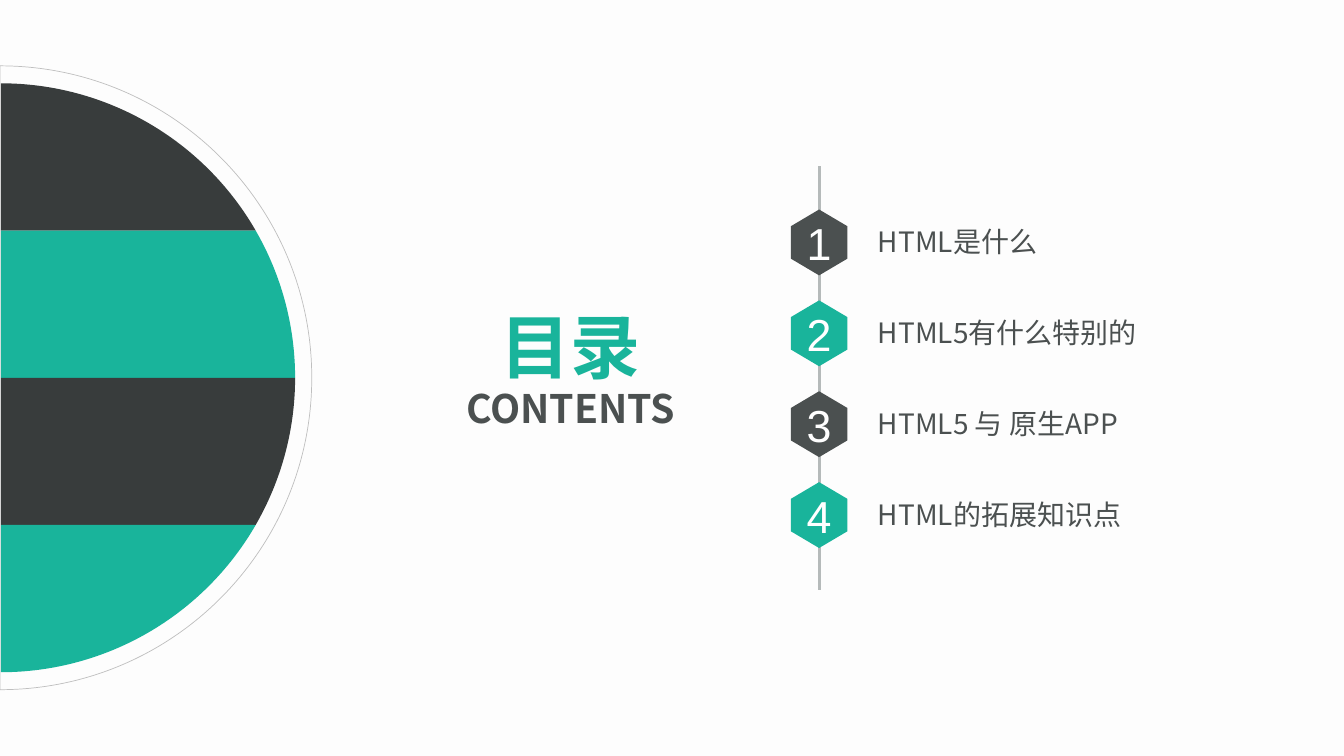
from dataclasses import dataclass
from itertools import pairwise
from math import cos, radians, sin, tan

from lxml.etree import SubElement
from pptx import Presentation
from pptx.dml.color import RGBColor as Color
from pptx.enum.shapes import MSO_CONNECTOR as Connector
from pptx.enum.text import MSO_ANCHOR as Anchor, PP_ALIGN as Align
from pptx.oxml.ns import qn
from pptx.shapes.autoshape import Shape
from pptx.slide import Slide
from pptx.util import Cm, Pt

Point = tuple[float, float]


@dataclass(frozen=True)
class Theme:
    background: Color = Color.from_string("FDFDFD")
    teal: Color = Color.from_string("19B49B")
    charcoal: Color = Color.from_string("383C3C")
    slate: Color = Color.from_string("4B5050")
    white: Color = Color.from_string("FFFFFF")
    rail: Color = Color.from_string("B5BABA")
    rim: Color = Color.from_string("BFBFBF")
    text_font: str = "Noto Sans CJK SC"
    number_font: str = "Arial"
    title_size: int = 50
    subtitle_size: int = 28
    label_size: int = 20
    number_size: int = 32


THEME = Theme()


@dataclass(frozen=True)
class TextStyle:
    size: int
    color: Color
    font: str = THEME.text_font
    bold: bool = False
    align: Align = Align.CENTER


@dataclass(frozen=True)
class TextBox:
    text: str
    left: float
    top: float
    width: float
    height: float
    style: TextStyle
    left_inset: float = 0.25
    wrap: bool = True


@dataclass(frozen=True)
class Chapter:
    title: str
    color: Color


NUMBER = TextStyle(THEME.number_size, THEME.white, THEME.number_font)
LABEL = TextStyle(THEME.label_size, THEME.slate, align=Align.LEFT)
TITLE = TextStyle(THEME.title_size, THEME.teal, bold=True)
SUBTITLE = TextStyle(THEME.subtitle_size, THEME.slate, bold=True)

HEADINGS = [
    TextBox("目录", 11.94, 7.62, 4.9, 2.18, TITLE),
    TextBox("CONTENTS", 9.54, 9.19, 9.7, 2.18, SUBTITLE, wrap=False),
]
CHAPTERS = [
    Chapter("HTML是什么", THEME.slate),
    Chapter("HTML5有什么特别的", THEME.teal),
    Chapter("HTML5 与 原生APP", THEME.slate),
    Chapter("HTML的拓展知识点", THEME.teal),
]

# Lengths in centimetres
DISC_X, DISC_Y, DISC_RADIUS, RIM_RADIUS = 0.02, 9.52, 7.42, 7.86
BAND_ANGLES = [-90, -30, 0, 30, 90]
RAIL_X, RAIL_TOP, RAIL_BOTTOM = 20.65, 4.19, 14.86
FIRST_Y, PITCH = 6.11, 2.29


def write(shape: Shape, text: str, style: TextStyle,
          left_inset: float = 0.25, wrap: bool = True) -> None:
    frame = shape.text_frame
    frame.word_wrap = wrap
    frame.vertical_anchor = Anchor.MIDDLE
    frame.margin_left, frame.margin_right = Cm(left_inset), Cm(0.25)
    frame.margin_top = frame.margin_bottom = Cm(0.13)
    para = frame.paragraphs[0]
    para.text = text
    para.alignment = style.align
    font = para.font
    font.size, font.bold, font.name = Pt(style.size), style.bold, style.font
    font.color.rgb = style.color
    # East Asian typeface
    properties = para._p.pPr.find(qn("a:defRPr"))
    SubElement(properties, qn("a:ea")).set("typeface", style.font)


def add_text(slide: Slide, item: TextBox) -> None:
    box = slide.shapes.add_textbox(
        Cm(item.left), Cm(item.top), Cm(item.width), Cm(item.height))
    write(box, item.text, item.style, item.left_inset, item.wrap)


def add_polygon(slide: Slide, points: list[Point], fill: Color | None = None,
                line: Color | None = None) -> Shape:
    corners = [(Cm(x), Cm(y)) for x, y in points]
    builder = slide.shapes.build_freeform(*corners[0])
    builder.add_line_segments(corners[1:], close=True)
    shape = builder.convert_to_shape()
    shape.shadow.inherit = False
    if fill is None:
        shape.fill.background()
    else:
        shape.fill.solid()
        shape.fill.fore_color.rgb = fill
    if line is None:
        shape.line.fill.background()
    else:
        shape.line.color.rgb = line
        shape.line.width = Pt(0.5)
    return shape


def add_sector(slide: Slide, axis: float, radius: float, angles: list[int],
               fill: Color | None = None, line: Color | None = None) -> None:
    """Slice of the half disc, curved through the angles and closed on its axis."""
    def on_arc(angle: float, bend: float = 0) -> Point:
        turn = radians(angle)
        return (axis + radius * (cos(turn) - bend * sin(turn)),
                DISC_Y + radius * (sin(turn) + bend * cos(turn)))

    arc = [on_arc(angle) for angle in angles]
    base = [(axis, on_arc(angle)[1]) for angle in (angles[-1], angles[0])
            if abs(angle) != 90]
    shape = add_polygon(slide, arc + base, fill, line)

    # Bend the leading segments into Bézier curves
    segments = list(shape._element.iter(qn("a:lnTo")))
    for segment, (start, end) in zip(segments, pairwise(angles)):
        bend = 4 / 3 * tan(radians(end - start) / 4)
        target = segment[0]
        segment.tag = qn("a:cubicBezTo")
        for x, y in (on_arc(start, bend), on_arc(end, -bend)):
            handle = SubElement(segment, qn("a:pt"))
            handle.set("x", str(Cm(x) - shape.left))
            handle.set("y", str(Cm(y) - shape.top))
        segment.append(target)


def add_disc(slide: Slide) -> None:
    for index, band in enumerate(pairwise(BAND_ANGLES)):
        color = THEME.teal if index % 2 else THEME.charcoal
        add_sector(slide, DISC_X, DISC_RADIUS, list(band), fill=color)
    add_sector(slide, 0, RIM_RADIUS, [-90, 0, 90], line=THEME.rim)


def add_rail(slide: Slide) -> None:
    rail = slide.shapes.add_connector(
        Connector.STRAIGHT, Cm(RAIL_X), Cm(RAIL_TOP), Cm(RAIL_X), Cm(RAIL_BOTTOM))
    rail.line.color.rgb = THEME.rail
    rail.line.width = Pt(2)
    SubElement(rail._element.spPr, qn("a:effectLst"))


def add_chapter(slide: Slide, index: int, chapter: Chapter) -> None:
    middle = FIRST_Y + index * PITCH
    offsets = [(0, -0.83), (0.71, -0.41), (0.71, 0.41),
               (0, 0.83), (-0.71, 0.41), (-0.71, -0.41)]
    add_text(slide, TextBox(chapter.title, 21.62, middle - 0.78, 14.15, 1.5,
                            LABEL, left_inset=0.51))
    hexagon = add_polygon(
        slide, [(RAIL_X + x, middle + y) for x, y in offsets], fill=chapter.color)
    write(hexagon, str(index + 1), NUMBER)


def main() -> None:
    deck = Presentation()
    deck.slide_width, deck.slide_height = Cm(33.88), Cm(19.05)
    page = deck.slides.add_slide(deck.slide_layouts[6])
    page.background.fill.solid()
    page.background.fill.fore_color.rgb = THEME.background

    # Striped half disc
    add_disc(page)

    # Numbered chapters on the rail
    add_rail(page)
    for index, chapter in enumerate(CHAPTERS):
        add_chapter(page, index, chapter)

    # Headings
    for heading in HEADINGS:
        add_text(page, heading)

    deck.save("out.pptx")


if __name__ == "__main__":
    main()
